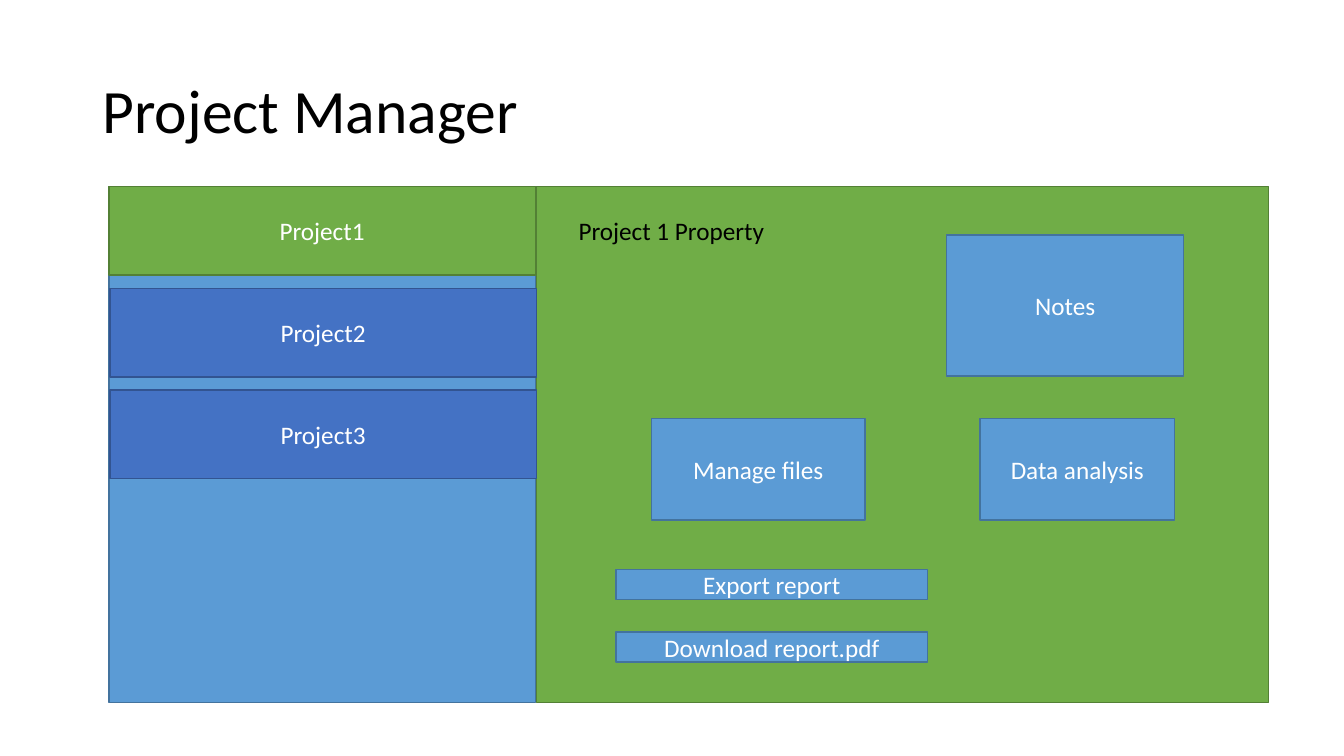
import pptx
import pptx.util
import pptx.dml.color
import pptx.enum.shapes
import pptx.enum.text

PX = 9144
HUES = {
    "black": "000000",
    "white": "FFFFFF",
    "blue": "5B9BD5",
    "blue edge": "43739E",
    "green": "70AD47",
    "green edge": "538035",
    "navy": "4472C4",
    "navy edge": "325491",
}
ANCHOR = pptx.enum.text.MSO_ANCHOR
ALIGN = pptx.enum.text.PP_ALIGN


def color(name):
    return pptx.dml.color.RGBColor.from_string(HUES[name])


def scale(*sizes):
    return [pptx.util.Emu(size * PX) for size in sizes]


def write(shape, text, size=18, hue="white", align=ALIGN.CENTER,
          anchor=ANCHOR.MIDDLE, wrap=True, space=1.0):
    frame = shape.text_frame
    frame.word_wrap = wrap
    frame.vertical_anchor = anchor
    line = frame.paragraphs[0]
    line.alignment = align
    line.line_spacing = space
    run = line.add_run()
    run.text = text
    run.font.name = "Calibri"
    run.font.size = pptx.util.Pt(size)
    run.font.color.rgb = color(hue)


def block(slide, box, hue, text=None):
    kind = pptx.enum.shapes.MSO_SHAPE.RECTANGLE
    shape = slide.shapes.add_shape(kind, *scale(*box))
    shape.shadow.inherit = False
    shape.fill.solid()
    shape.fill.fore_color.rgb = color(hue)
    shape.line.color.rgb = color(hue + " edge")
    shape.line.width = pptx.util.Pt(1)
    if text:
        write(shape, text)


def label(slide, box, text, **style):
    shape = slide.shapes.add_textbox(*scale(*box))
    write(shape, text, hue="black", align=ALIGN.LEFT, **style)


def panel(slide, box):
    left, top, width, height = box
    block(slide, box, "green")
    label(slide, (left + 32, top + 24, 206, 40), "Project 1 Property",
          anchor=ANCHOR.TOP, wrap=False)
    parts = [
        ("Manage files", 114, 230, 212, 101),
        ("Data analysis", 440, 230, 193, 101),
        ("Export report", 79, 380, 309, 30),
        ("Download report.pdf", 79, 442, 309, 30),
        ("Notes", 407, 48, 235, 140),
    ]
    for text, across, down, wide, high in parts:
        block(slide, (left + across, top + down, wide, high), "blue", text)


def menu(slide, box):
    left, top, width, height = box
    block(slide, box, "blue")
    tabs = [("Project1", "green", 0), ("Project2", "navy", 1),
            ("Project3", "navy", 1)]
    for row, (text, hue, shift) in enumerate(tabs):
        block(slide, (left + shift, top + row * 101, width, 88), hue, text)


def main():
    deck = pptx.Presentation()
    deck.slide_width, deck.slide_height = scale(1333, 750)
    slide = deck.slides.add_slide(deck.slide_layouts[6])
    label(slide, (92, 40, 1150, 145), "Project Manager", size=44, space=0.9)
    panel(slide, (532, 185, 726, 512))
    menu(slide, (108, 185, 423, 512))
    deck.save("out.pptx")


if __name__ == "__main__":
    main()
